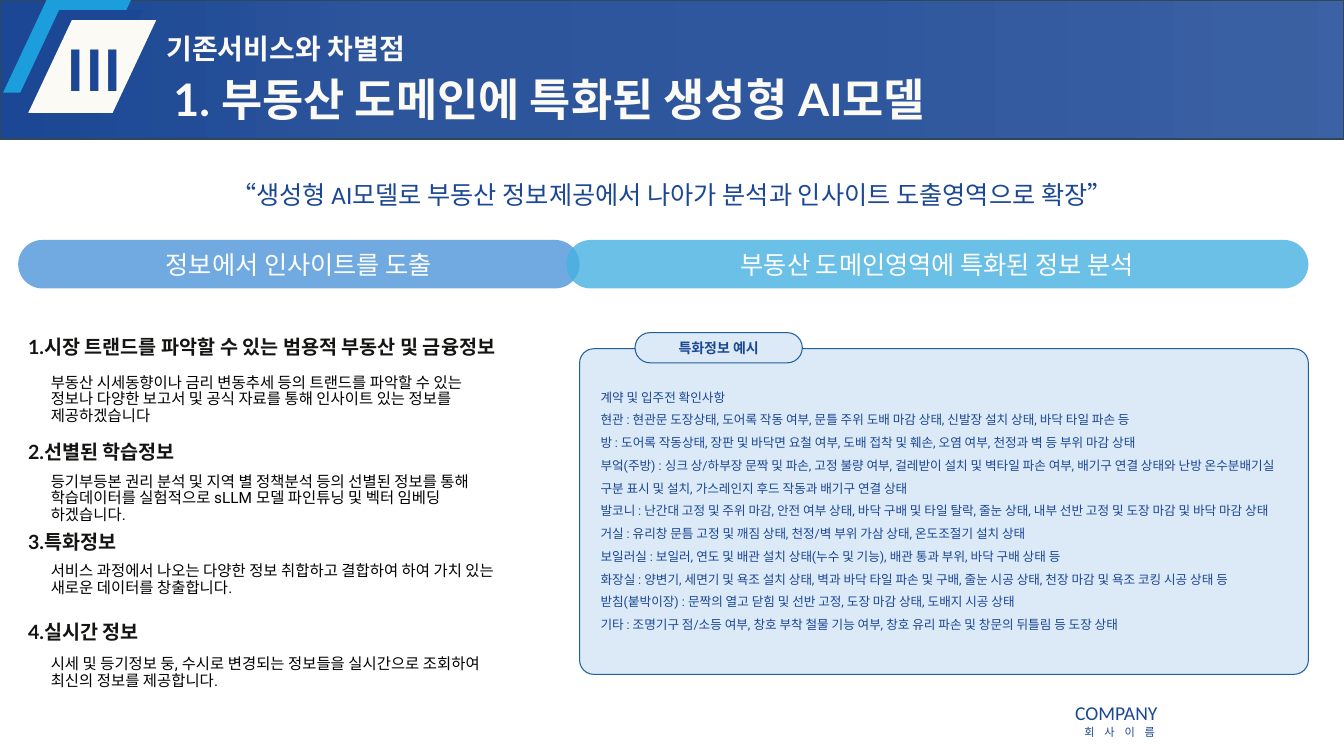
"""Builds the slide on a generative AI model specialised in real estate."""
from lxml import etree
from pptx import Presentation
from pptx.dml.color import RGBColor
from pptx.enum.shapes import MSO_SHAPE as Shape
from pptx.enum.text import MSO_ANCHOR as Anchor, PP_ALIGN as Align
from pptx.oxml import parse_xml
from pptx.oxml.ns import nsdecls, qn
from pptx.util import Pt

COLORS = {
    "navy": "1B4794", "cyan": "1B9EDB", "cream": "FCFAF4", "edge": "2F4857",
    "panel": "DCEAF7", "panel_line": "215F9A", "blue_bar": "4E95D9",
    "sky_bar": "46B1E1", "heading": "141413", "black": "000000", "white": "FFFFFF",
}
HEADER_STOPS = [(0, 85), (34, 90), (74, 92), (83, 95), (100, 100)]
SECTION = "기존서비스와 차별점"
TITLE = "1. 부동산 도메인에 특화된 생성형 AI모델"
MESSAGE = "“생성형 AI모델로 부동산 정보제공에서 나아가 분석과 인사이트 도출영역으로 확장”"
BRAND, BRAND_KOREAN = "COMPANY", "회사이름"
BARS = [
    ("정보에서 인사이트를 도출", 13, 401, "blue_bar"),
    ("부동산 도메인영역에 특화된 정보 분석", 404.6, 530, "sky_bar"),
]
POINTS = [
    (237.6, 26.6, "1.시장 트랜드를 파악할 수 있는 범용적 부동산 및 금융정보",
     "부동산 시세동향이나 금리 변동추세 등의 트랜드를 파악할 수 있는 정보나 다양한 보고서 및 공식 자료를 통해 인사이트 있는 정보를 제공하겠습니다"),
    (312.5, 22.3, "2.선별된 학습정보",
     "등기부등본 권리 분석 및 지역 별 정책분석 등의 선별된 정보를 통해 학습데이터를 실험적으로 sLLM 모델 파인튜닝 및 벡터 임베딩 하겠습니다."),
    (376.6, 22.3, "3.특화정보",
     "서비스 과정에서 나오는 다양한 정보 취합하고 결합하여 하여 가치 있는 새로운 데이터를 창출합니다."),
    (441.4, 23.7, "4.실시간 정보",
     "시세 및 등기정보 둥, 수시로 변경되는 정보들을 실시간으로 조회하여 최신의 정보를 제공합니다."),
]
EXAMPLE_LABEL = "특화정보 예시"
EXAMPLES = [
    "계약 및 입주전 확인사항",
    "현관 : 현관문 도장상태, 도어록 작동 여부, 문틀 주위 도배 마감 상태, 신발장 설치 상태, 바닥 타일 파손 등",
    "방 : 도어록 작동상태, 장판 및 바닥면 요철 여부, 도배 접착 및 훼손, 오염 여부, 천정과 벽 등 부위 마감 상태",
    "부엌(주방) : 싱크 상/하부장 문짝 및 파손, 고정 불량 여부, 걸레받이 설치 및 벽타일 파손 여부, 배기구 연결 상태와 난방 온수분배기실 구분 표시 및 설치, 가스레인지 후드 작동과 배기구 연결 상태",
    "발코니 : 난간대 고정 및 주위 마감, 안전 여부 상태, 바닥 구배 및 타일 탈락, 줄눈 상태, 내부 선반 고정 및 도장 마감 및 바닥 마감 상태",
    "거실 : 유리창 문틈 고정 및 깨짐 상태, 천정/벽 부위 가삼 상태, 온도조절기 설치 상태",
    "보일러실 : 보일러, 연도 및 배관 설치 상태(누수 및 기능), 배관 통과 부위, 바닥 구배 상태 등",
    "화장실 : 양변기, 세면기 및 욕조 설치 상태, 벽과 바닥 타일 파손 및 구배, 줄눈 시공 상태, 천장 마감 및 욕조 코킹 시공 상태 등",
    "받침(붙박이장) : 문짝의 열고 닫힘 및 선반 고정, 도장 마감 상태, 도배지 시공 상태",
    "기타 : 조명기구 점/소등 여부, 창호 부착 철물 기능 여부, 창호 유리 파손 및 창문의 뒤틀림 등 도장 상태",
]

presentation = Presentation()
presentation.slide_width, presentation.slide_height = Pt(960), Pt(540)
slide = presentation.slides.add_slide(presentation.slide_layouts[6])


def rgb(name):
    return RGBColor.from_string(COLORS[name])


def write(shape, lines, *, size, font, color, bold=False, align=Align.LEFT,
          anchor=Anchor.TOP, spacing=1.0, inset=(7.2, 3.6), tracking=0):
    """Fill a shape with one formatted paragraph per line."""
    frame = shape.text_frame
    frame.word_wrap = True
    frame.vertical_anchor = anchor
    frame.margin_left = frame.margin_right = Pt(inset[0])
    frame.margin_top = frame.margin_bottom = Pt(inset[1])
    for index, line in enumerate(lines):
        paragraph = frame.add_paragraph() if index else frame.paragraphs[0]
        paragraph.alignment = align
        paragraph.line_spacing = spacing
        run = paragraph.add_run()
        run.text = line
        run.font.size, run.font.name, run.font.bold = Pt(size), font, bold
        run.font.color.rgb = rgb(color)
        if tracking:
            run.font._element.set("spc", str(tracking * 100))


def add_text(box, *lines, **style):
    """Add a text box at (left, top, width, height)."""
    write(slide.shapes.add_textbox(*map(Pt, box)), lines, **style)


def add_shape(kind, box, fill, adjust=None, line=None, width=0.75, alpha=None):
    """Add a filled preset shape."""
    shape = slide.shapes.add_shape(kind, *map(Pt, box))
    shape.shadow.inherit = False
    shape.fill.solid()
    shape.fill.fore_color.rgb = rgb(fill)
    if adjust is not None:
        shape.adjustments[0] = adjust
    if line:
        shape.line.color.rgb = rgb(line)
        shape.line.width = Pt(width)
    else:
        shape.line.fill.background()
    if alpha:
        color = shape._element.spPr.find(qn("a:solidFill"))[0]
        etree.SubElement(color, qn("a:alpha")).set("val", str(alpha * 1000))
    return shape


def add_header():
    """Add the blue gradient band."""
    band = add_shape(Shape.RECTANGLE, (0, 0, 960, 99.4), "navy", line="edge", width=1)
    stops = "".join(
        f'<a:gs pos="{position * 1000}"><a:srgbClr val="{COLORS["navy"]}">'
        f'<a:alpha val="{alpha * 1000}"/></a:srgbClr></a:gs>'
        for position, alpha in HEADER_STOPS)
    gradient = parse_xml(
        f'<a:gradFill {nsdecls("a")} rotWithShape="1"><a:gsLst>{stops}</a:gsLst>'
        '<a:lin ang="10800000" scaled="0"/></a:gradFill>')
    properties = band._element.spPr
    properties.replace(properties.find(qn("a:solidFill")), gradient)


def main():
    """Place every part of the slide and save it."""
    plain = {"inset": (0, 0)}
    brand = {"font": "Calibri", "color": "navy", "align": Align.CENTER, "inset": (2.9, 0)}
    add_text((766, 518.4, 67.7, 9.4), BRAND_KOREAN, size=8, tracking=7, **brand)
    add_text((756, 501, 82.8, 17.3), BRAND, size=14, **brand)

    add_header()
    for index, color in enumerate(("cyan", "navy", "cream")):
        add_shape(Shape.PARALLELOGRAM, (2.2 + 9 * index, 7.2 * index, 91.4, 66.2), color, 0.47)
    add_text((22.3, 25.2, 90, 48.2), "III", size=40, font="Noto Sans CJK KR",
             color="navy", bold=True, align=Align.CENTER, **plain)
    add_text((118.8, 22.3, 453.6, 24.5), SECTION, size=20, font="Lato",
             color="cream", bold=True, **plain)
    add_text((118.1, 46.1, 784.8, 53.3), TITLE, size=32, font="Lato", color="cream",
             bold=True, anchor=Anchor.MIDDLE, spacing=0.9, inset=(5.8, 2.9))

    add_text((97.9, 124.6, 763.9, 28.8), MESSAGE, size=18, font="Calibri",
             color="navy", align=Align.CENTER)
    for label, left, width, color in BARS:
        bar = add_shape(Shape.ROUNDED_RECTANGLE, (left, 171.4, width, 34.6), color, 0.5, alpha=80)
        write(bar, [label], size=18, font="Calibri", color="white",
              align=Align.CENTER, anchor=Anchor.MIDDLE)

    for top, offset, heading, body in POINTS:
        add_text((13, top, 391, 22.3), heading, size=14, font="Lato",
                 color="heading", bold=True, spacing=0.9)
        add_text((29.2, top + offset, 334.8, 32), body, size=11, font="Roboto",
                 color="black", spacing=0.9)

    add_shape(Shape.ROUNDED_RECTANGLE, (414, 249.1, 520.6, 232.6), "panel", 0.044, "panel_line")
    tab = add_shape(Shape.ROUNDED_RECTANGLE, (453.6, 237.6, 119.5, 21.6), "panel", 0.5, "panel_line")
    write(tab, [EXAMPLE_LABEL], size=10, font="Lato", color="navy", bold=True,
          align=Align.CENTER, anchor=Anchor.MIDDLE)
    add_text((421.9, 269.3, 508.3, 201.6), *EXAMPLES, size=9, font="Roboto",
             color="navy", spacing=1.5)
    presentation.save("out.pptx")


if __name__ == "__main__":
    main()
